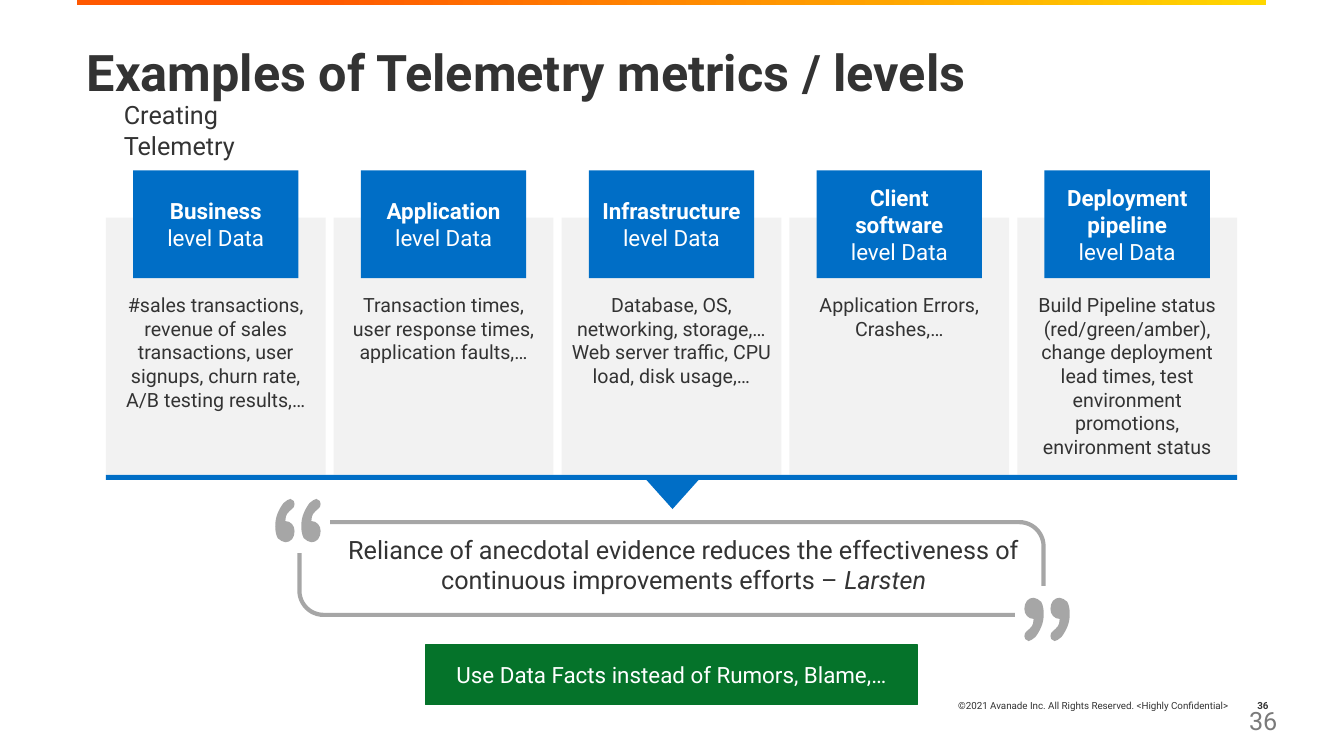
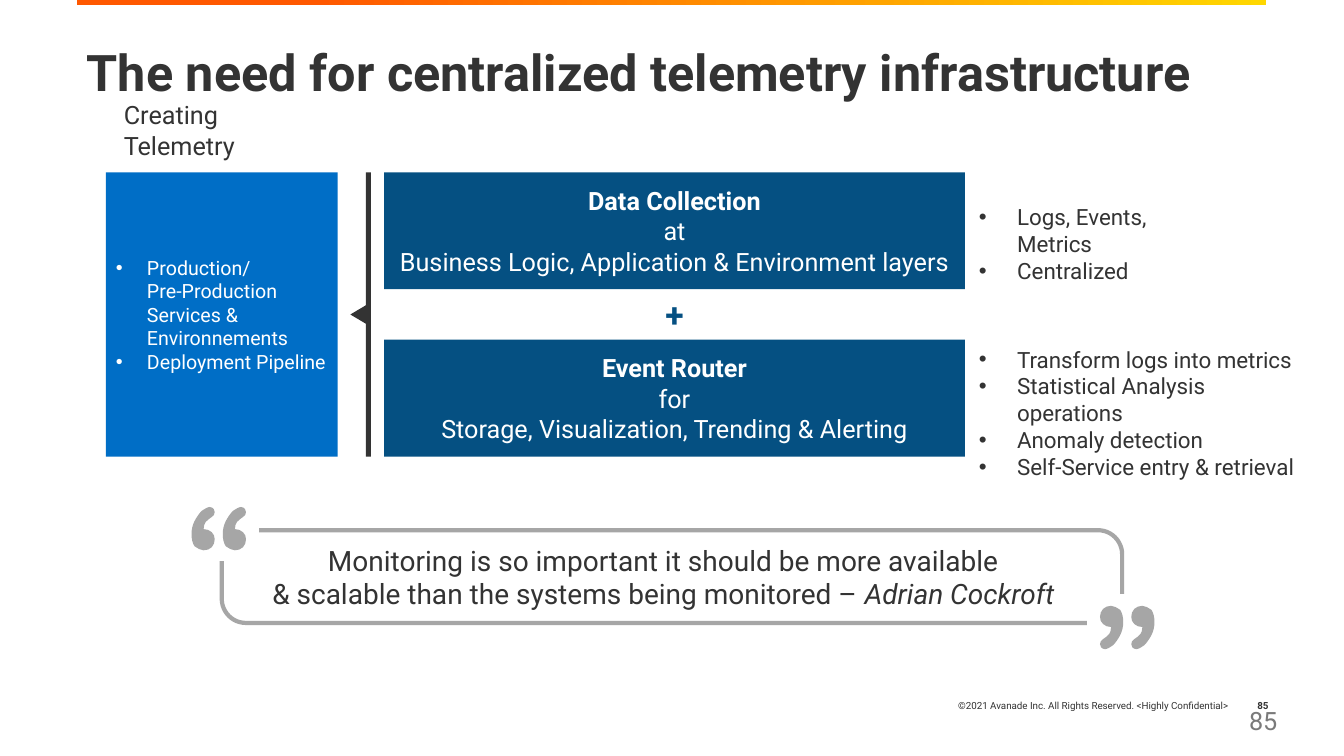
from dataclasses import dataclass

from lxml import etree
from pptx import Presentation
from pptx.dml.color import RGBColor
from pptx.enum.shapes import MSO_SHAPE
from pptx.enum.text import MSO_ANCHOR, MSO_AUTO_SIZE, PP_ALIGN
from pptx.oxml.ns import qn
from pptx.util import Pt

PX = 9144  # 100 px to the inch
RECT, TRIANGLE = MSO_SHAPE.RECTANGLE, MSO_SHAPE.ISOSCELES_TRIANGLE
DIAGONAL_ROUND = MSO_SHAPE.ROUND_2_DIAG_RECTANGLE
TOP, MIDDLE = MSO_ANCHOR.TOP, MSO_ANCHOR.MIDDLE
LEFT, CENTER, RIGHT = PP_ALIGN.LEFT, PP_ALIGN.CENTER, PP_ALIGN.RIGHT
TITLE_ONLY = 5


@dataclass(frozen=True)
class Theme:
    font: str = "Roboto"
    ink: str = "333333"
    white: str = "FFFFFF"
    card: str = "F2F2F2"
    blue: str = "006EC6"
    navy: str = "055082"
    green: str = "05732A"
    quote: str = "A6A6A6"
    number: str = "7A7A7A"
    band_start: str = "FFD700"
    band_end: str = "FF5800"
    title: int = 36
    plus: int = 24
    large: int = 20
    lead: int = 18
    label: int = 16
    body: int = 14
    footer: int = 7


T = Theme()

LEVELS = [
    ("Business", ["#sales transactions, revenue of sales transactions, "
                  "user signups, churn rate, A/B testing results,…"]),
    ("Application", ["Transaction times, user response times, application faults,…"]),
    ("Infrastructure", ["Database, OS, networking, storage,…",
                        "Web server traffic, CPU load, disk usage,…"]),
    ("Client software", ["Application Errors, Crashes,…"]),
    ("Deployment pipeline", ["Build Pipeline status (red/green/amber), change deployment "
                             "lead times, test environment promotions, environment status"]),
]
STAGES = [
    ("Data Collection", "at", "Business Logic, Application & Environment layers"),
    ("Event Router", "for", "Storage, Visualization, Trending & Alerting"),
]
# One quotation mark in a 54 x 43 field: a start point, then Bézier triples.
MARK_START = (12, 22)
MARK_CURVES = [
    ((15, 22), (18, 23), (20, 25)), ((22, 27), (23, 29), (23, 32)),
    ((23, 35), (22, 38), (20, 40)), ((18, 42), (15, 43), (12, 43)),
    ((9, 43), (6, 41), (3, 39)), ((1, 36), (0, 32), (0, 27)),
    ((0, 22), (1, 18), (3, 14)), ((5, 10), (8, 6), (10, 4)),
    ((13, 2), (16, 0), (18, 0)), ((20, 0), (21, 1), (22, 2)),
    ((22, 3), (23, 4), (23, 5)), ((23, 7), (22, 9), (20, 10)),
    ((18, 11), (16, 13), (14, 15)), ((13, 16), (12, 19), (12, 22)),
]
MARK_FIELD, MARK_STEP = 54, 31


def rgb(value):
    return RGBColor.from_string(value)


def emu(*lengths):
    return [length * PX for length in lengths]


def add_runs(p, runs, size, color, bold):
    """Fill a paragraph from a string or from (text, font overrides) pairs."""
    for text, extra in [(runs, {})] if isinstance(runs, str) else runs:
        for i, piece in enumerate(text.split("\v")):
            if i:
                p.add_line_break()
                etree.SubElement(p._p[-1], qn("a:rPr"), sz=str(size * 100))
            if not piece:
                continue
            r = p.add_run()
            r.text = piece
            r.font.color.rgb = rgb(color)
            values = {"name": T.font, "size": Pt(size), "bold": bold, **extra}
            for name, value in values.items():
                setattr(r.font, name, value)


def add_bullet(p, indent):
    pPr = p._p.get_or_add_pPr()
    pPr.set("marL", str(indent * PX))
    pPr.set("indent", str(-indent * PX))
    etree.SubElement(pPr, qn("a:buFont"), typeface="Arial")
    etree.SubElement(pPr, qn("a:buChar"), char="•")


def write(shape, paragraphs, size, color=T.ink, bold=False, align=LEFT,
          anchor=TOP, bullet=0, spacing=None, margins=None):
    tf = shape.text_frame
    frame = {"word_wrap": True, "auto_size": MSO_AUTO_SIZE.NONE, "vertical_anchor": anchor}
    for side, margin in (margins or {}).items():
        frame["margin_" + side] = margin * PX
    for name, value in frame.items():
        setattr(tf, name, value)
    for i, runs in enumerate(paragraphs):
        p = tf.add_paragraph() if i else tf.paragraphs[0]
        p.alignment = align
        if spacing:
            p.line_spacing = spacing
        if bullet:
            add_bullet(p, bullet)
        add_runs(p, runs, size, color, bold)


def add_text(shapes, box, paragraphs, size, **style):
    write(shapes.add_textbox(*emu(*box)), paragraphs, size, **style)


def add_box(shapes, box, fill=None, kind=RECT, line=None, width=1, rotation=0):
    sp = shapes.add_shape(kind, *emu(*box))
    sp.shadow.inherit = False
    sp.rotation = rotation
    if fill:
        sp.fill.solid()
        sp.fill.fore_color.rgb = rgb(fill)
    else:
        sp.fill.background()
    if line:
        sp.line.color.rgb = rgb(line)
        sp.line.width = Pt(width)
    else:
        sp.line.fill.background()
    return sp


def bend_lines(sp):
    """Turn every three line segments of a freeform into one Bézier curve."""
    path = sp._element.find(".//" + qn("a:path"))
    lines = path.findall(qn("a:lnTo"))
    for first, second, third in zip(lines[::3], lines[1::3], lines[2::3]):
        first.tag = qn("a:cubicBezTo")
        for other in (second, third):
            first.append(other[0])
            path.remove(other)


def add_quote_marks(shapes, x, y, width, rotation):
    stretch = width / MARK_FIELD
    outline = [MARK_START] + [point for curve in MARK_CURVES for point in curve]
    builder = None
    for shift in (0, MARK_STEP):
        points = [((x + (px + shift) * stretch) * PX, (y + py) * PX) for px, py in outline]
        if builder is None:
            builder = shapes.build_freeform(*points[0])
        else:
            builder.move_to(*points[0])
        builder.add_line_segments(points[1:], close=True)
    sp = builder.convert_to_shape()
    bend_lines(sp)
    sp.shadow.inherit = False
    sp.rotation = rotation
    sp.fill.solid()
    sp.fill.fore_color.rgb = rgb(T.quote)
    sp.line.fill.background()


def add_quote(s, frame, text_box, paragraphs, size, gap):
    """Quotation in a frame whose top left and bottom right corners hold marks."""
    shapes = s.shapes.add_group_shape().shapes
    x, y, w, h = frame
    add_text(shapes, text_box, paragraphs, size, align=CENTER)
    outline = add_box(shapes, frame, kind=DIAGONAL_ROUND, line=T.quote, width=3)
    outline.adjustments[0], outline.adjustments[1] = 0, 0.26
    gap_h, mark_h = 58, 42
    mark_w = round(gap * 0.775)
    for cx, cy, rotation in ((x, y, 0), (x + w, y + h, 180)):
        left, top = cx - round(gap * 0.48), cy - round(gap_h * 0.48)
        add_box(shapes, (left, top, gap, gap_h), T.white, line=T.white)
        dx, dy = (gap - mark_w - 4, gap_h - mark_h - 5) if rotation else (4, 5)
        add_quote_marks(shapes, left + dx, top + dy, mark_w, rotation)


def add_base_slide(prs, title, number):
    s = prs.slides.add_slide(prs.slide_layouts[TITLE_ONLY])
    band = add_box(s.shapes, (76, 0, 1180, 5), T.band_end)
    band.fill.gradient()
    band.fill.gradient_angle = 180
    stops = ((0, T.band_start), (0.8, T.band_end))
    for stop, (position, color) in zip(band.fill.gradient_stops, stops):
        stop.position = position
        stop.color.rgb = rgb(color)
    footer = {"align": RIGHT, "anchor": MIDDLE}
    add_text(s.shapes, (778, 680, 450, 40),
             ["©2021 Avanade Inc. All Rights Reserved. <Highly Confidential>"], T.footer, **footer)
    add_text(s.shapes, (1220, 680, 48, 40), [number], T.footer, bold=True, **footer)
    add_text(s.shapes, (1229, 695, 54, 40), [number], T.lead, color=T.number)
    heading = s.shapes.title
    heading.left, heading.top, heading.width, heading.height = emu(76, 43, 1179, 109)
    write(heading, [title], T.title, bold=True, spacing=0.9)
    add_text(s.shapes, (113, 94, 219, 40), ["Creating Telemetry"], T.lead)
    return s


def add_level(s, x, name, details):
    card_w, head_w = 218, 164
    card = add_box(s.shapes, (x, 216, card_w, 255), T.card)
    write(card, details, T.body, align=CENTER, margins={"top": 75, "left": 8, "right": 8})
    head = add_box(s.shapes, (x + (card_w - head_w) // 2, 169, head_w, 107), T.blue)
    write(head, [[(name + "\v", {"bold": True}), ("level Data", {})]], T.label,
          color=T.white, align=CENTER, anchor=MIDDLE)


def build_metrics(prs):
    s = add_base_slide(prs, "Examples of Telemetry metrics / levels", "36")
    for i, (name, details) in enumerate(LEVELS):
        add_level(s, 105 + 226 * i, name, details)
    add_box(s.shapes, (105, 471, 1122, 5), T.blue)
    add_box(s.shapes, (641, 476, 52, 29), T.blue, TRIANGLE, rotation=180)
    add_quote(s, (297, 518, 738, 92), (329, 525, 698, 71),
              [[("Reliance of anecdotal evidence reduces the effectiveness of "
                 "continuous improvements efforts – ", {}), ("Larsten", {"italic": True})]],
              T.lead, gap=58)
    advice = add_box(s.shapes, (422, 640, 488, 59), T.green, line=T.green)
    write(advice, ["Use Data Facts instead of Rumors, Blame,…"], T.label,
          color=T.white, align=CENTER, anchor=MIDDLE)


def build_infrastructure(prs):
    s = add_base_slide(prs, "The need for centralized telemetry infrastructure", "85")
    top, height = 171, 282
    sources = add_box(s.shapes, (105, top, 230, height), T.blue)
    write(sources, ["Production/\vPre-Production Services & Environnements",
                    "Deployment Pipeline"],
          T.body, color=T.white, anchor=MIDDLE, bullet=31, margins={"right": 8})
    add_box(s.shapes, (363, top, 5, height), T.ink)
    add_box(s.shapes, (346, 304, 19, 16), T.ink, TRIANGLE, rotation=270)
    for i, (name, link, scope) in enumerate(STAGES):
        stage = add_box(s.shapes, (381, top + 166 * i, 576, 116), T.navy)
        write(stage, [[(name, {"bold": True})], link, scope], T.lead,
              color=T.white, align=CENTER, anchor=MIDDLE)
    add_text(s.shapes, (647, 287, 44, 50), ["+"], T.plus, color=T.navy, bold=True,
             align=CENTER, anchor=MIDDLE)
    add_text(s.shapes, (961, 197, 255, 64), ["Logs, Events, Metrics", "Centralized"],
             T.label, bullet=38)
    add_text(s.shapes, (961, 338, 336, 118),
             ["Transform logs into metrics", "Statistical Analysis operations",
              "Anomaly detection", "Self-Service entry & retrieval"], T.label, bullet=38)
    add_quote(s, (220, 526, 893, 92), (213, 534, 890, 77),
              ["Monitoring is so important it should be more available",
               [("& scalable than the systems being monitored – ", {}),
                ("Adrian Cockroft", {"italic": True})]], T.large, gap=70)


def main():
    prs = Presentation()
    prs.slide_width, prs.slide_height = emu(1333, 750)
    build_metrics(prs)
    build_infrastructure(prs)
    prs.save("out.pptx")


if __name__ == "__main__":
    main()
